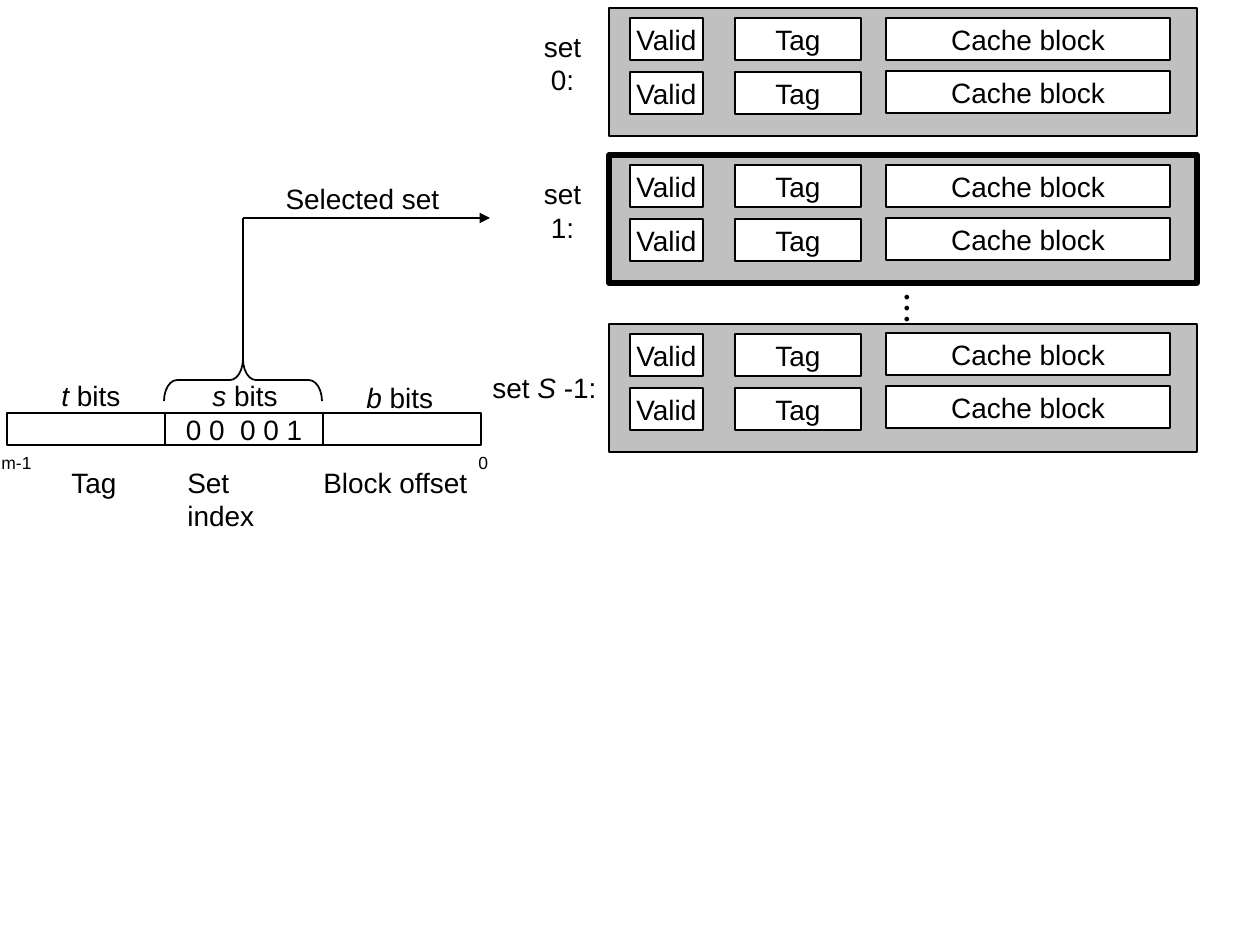
import pptx
import pptx.dml.color
import pptx.enum.shapes
import pptx.enum.text
import pptx.oxml.ns
import pptx.util
from lxml import etree

PIXELS_PER_INCH = 126
COLORS = {"ink": "000000", "cell": "FFFFFF", "set": "C0C0C0"}
FONT = "Arial"
SHAPES = pptx.enum.shapes.MSO_SHAPE
ALIGN = pptx.enum.text.PP_ALIGN
ANCHOR = pptx.enum.text.MSO_ANCHOR


def px(length):
    return round(length * pptx.util.Inches(1) / PIXELS_PER_INCH)


def color(name):
    return pptx.dml.color.RGBColor.from_string(COLORS[name])


def write(shape, runs, size=16, align=ALIGN.CENTER, anchor=ANCHOR.MIDDLE):
    """Fill a shape with one line; each run is (text, italic)."""
    frame = shape.text_frame
    frame.word_wrap = False
    frame.vertical_anchor = anchor
    paragraph = frame.paragraphs[0]
    paragraph.alignment = align
    for text, italic in runs:
        run = paragraph.add_run()
        run.text = text
        run.font.name = FONT
        run.font.size = pptx.util.Pt(size)
        run.font.italic = italic
        run.font.color.rgb = color("ink")


def add_outline(slide, kind, left, top, width, height, fill=None, weight=1):
    shape = slide.shapes.add_shape(kind, px(left), px(top), px(width), px(height))
    shape.shadow.inherit = False
    if fill:
        shape.fill.solid()
        shape.fill.fore_color.rgb = color(fill)
    else:
        shape.fill.background()
    shape.line.color.rgb = color("ink")
    shape.line.width = pptx.util.Pt(weight)
    return shape


def add_label(slide, left, top, width, height, runs, **style):
    label = slide.shapes.add_textbox(px(left), px(top), px(width), px(height))
    write(label, runs, **style)
    label.text_frame.auto_size = pptx.enum.text.MSO_AUTO_SIZE.SHAPE_TO_FIT_TEXT


def add_line(slide, start, end, arrow=False):
    line = slide.shapes.add_connector(
        pptx.enum.shapes.MSO_CONNECTOR.STRAIGHT, *map(px, start + end))
    line.line.color.rgb = color("ink")
    line.line.width = pptx.util.Pt(1)
    if arrow:
        outline = line.line._get_or_add_ln()
        etree.SubElement(outline, pptx.oxml.ns.qn("a:tailEnd"), type="triangle")
    etree.SubElement(line._element.spPr, pptx.oxml.ns.qn("a:effectLst"))


def add_cache_set(slide, left, top, name, name_width, weight=1, name_top=32, block_top=10):
    """Draw one set of two cache lines, with its name ending at the left edge."""
    add_outline(slide, SHAPES.RECTANGLE, left, top, 588, 128, "set", weight)
    columns = (
        ("Valid", 21, 73, 10, 54),
        ("Tag", 126, 126, 10, 54),
        ("Cache block", 277, 284, block_top, 53),
    )
    for text, offset, width, first_row, pitch in columns:
        for row in range(2):
            cell = add_outline(slide, SHAPES.RECTANGLE, left + offset,
                               top + first_row + row * pitch, width, 42, "cell")
            write(cell, [(text, False)])
    add_label(slide, left - name_width, top + name_top, name_width, 46, name)


def add_ellipsis(slide, left, top, width, height):
    dots = slide.shapes.add_textbox(px(left), px(top), px(width), px(height))
    write(dots, [("• • •", False)], size=10)
    frame = dots.text_frame
    frame.margin_left = frame.margin_right = pptx.util.Inches(0.05)
    frame.margin_top = frame.margin_bottom = pptx.util.Inches(0.1)
    frame._txBody.bodyPr.set("vert", "eaVert")


def add_address(slide, left, top):
    """Draw the three address fields with bit counts above and names below."""
    width, height = 158, 32
    fields = (
        # letter, offset, top, width; bits; name, offset, width
        ("t", 42, -41, 84, "", "Tag", 52, 73),
        ("s", 193, -41, 91, "0 0  0 0 1", "Set index", 168, 141),
        ("b", 347, -39, 92, "", "Block offset", 304, 169),
    )
    plain = {"align": ALIGN.LEFT, "anchor": ANCHOR.TOP}
    for index, field in enumerate(fields):
        letter, count_left, count_top, count_width, bits, name, name_left, name_width = field
        cell = add_outline(slide, SHAPES.RECTANGLE, left + index * width, top, width, height)
        if bits:
            write(cell, [(bits, False)])
        add_label(slide, left + count_left, top + count_top, count_width, 45,
                  [(letter, True), (" bits", False)], **plain)
        add_label(slide, left + name_left, top + 46, name_width, 45, [(name, False)], **plain)
    for text, offset, label_width in (("m-1", -18, 55), ("0", 459, 34)):
        add_label(slide, left + offset, top + height, label_width, 34, [(text, False)], size=10)


def add_selection(slide, left, top):
    """Draw the brace and the arrow; the box starts at the arrow's corner."""
    brace_width, brace_length = 42, 158
    brace = add_outline(slide, SHAPES.RIGHT_BRACE, left - brace_width / 2, top + 83,
                        brace_width, brace_length)
    brace.rotation = 270
    brace.adjustments[0] = 0.31
    add_line(slide, (left, top + 146), (left, top))
    add_line(slide, (left, top), (left + 247, top), arrow=True)
    add_label(slide, left + 30, top - 43, 179, 46, [("Selected set", False)])


def main():
    presentation = pptx.Presentation()
    presentation.slide_width = px(1260)
    presentation.slide_height = px(945)
    slide = presentation.slides.add_slide(presentation.slide_layouts[6])

    add_cache_set(slide, 609, 8, [("set 0:", False)], 93)
    add_cache_set(slide, 609, 155, [("set 1:", False)], 93, weight=3)
    add_cache_set(slide, 609, 324, [("set ", False), ("S", True), (" -1:", False)], 129,
                  name_top=40, block_top=9)
    add_ellipsis(slide, 861, 282, 94, 42)
    add_address(slide, 7, 413)
    add_selection(slide, 243, 218)

    presentation.save("out.pptx")


if __name__ == "__main__":
    main()
